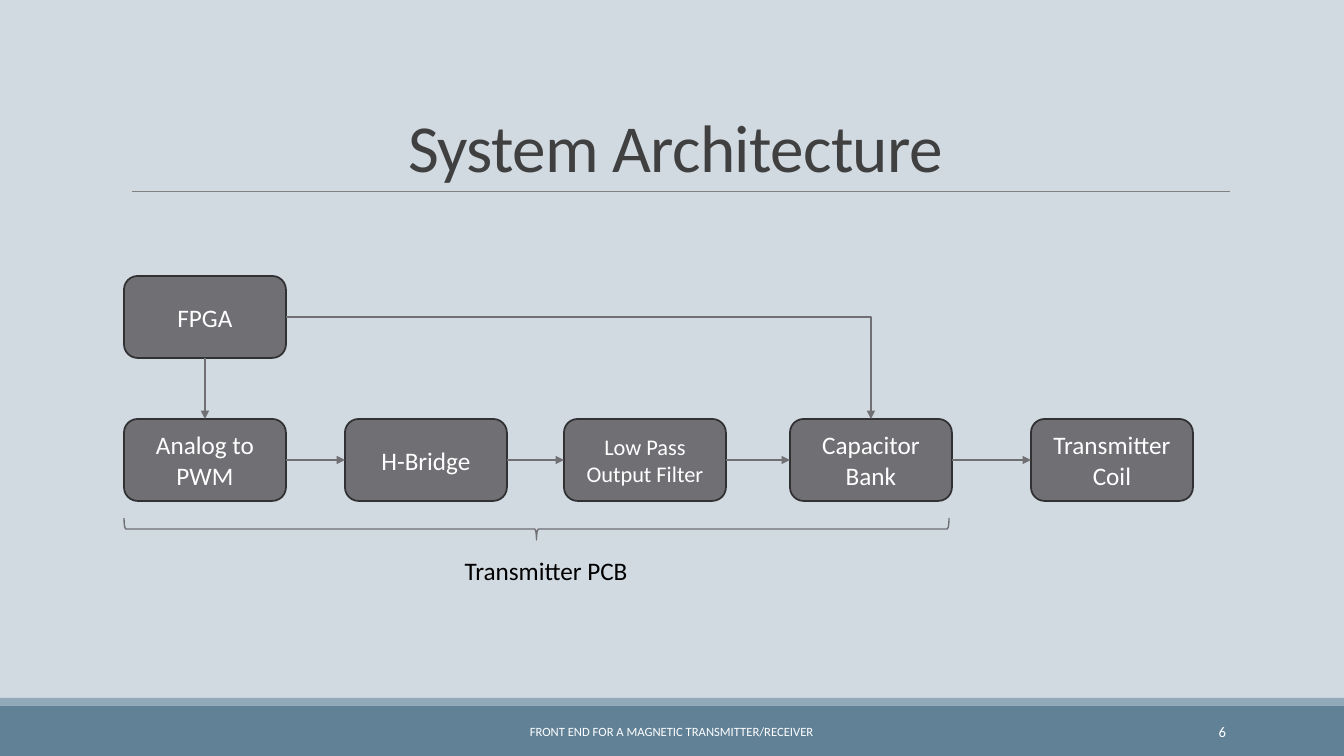
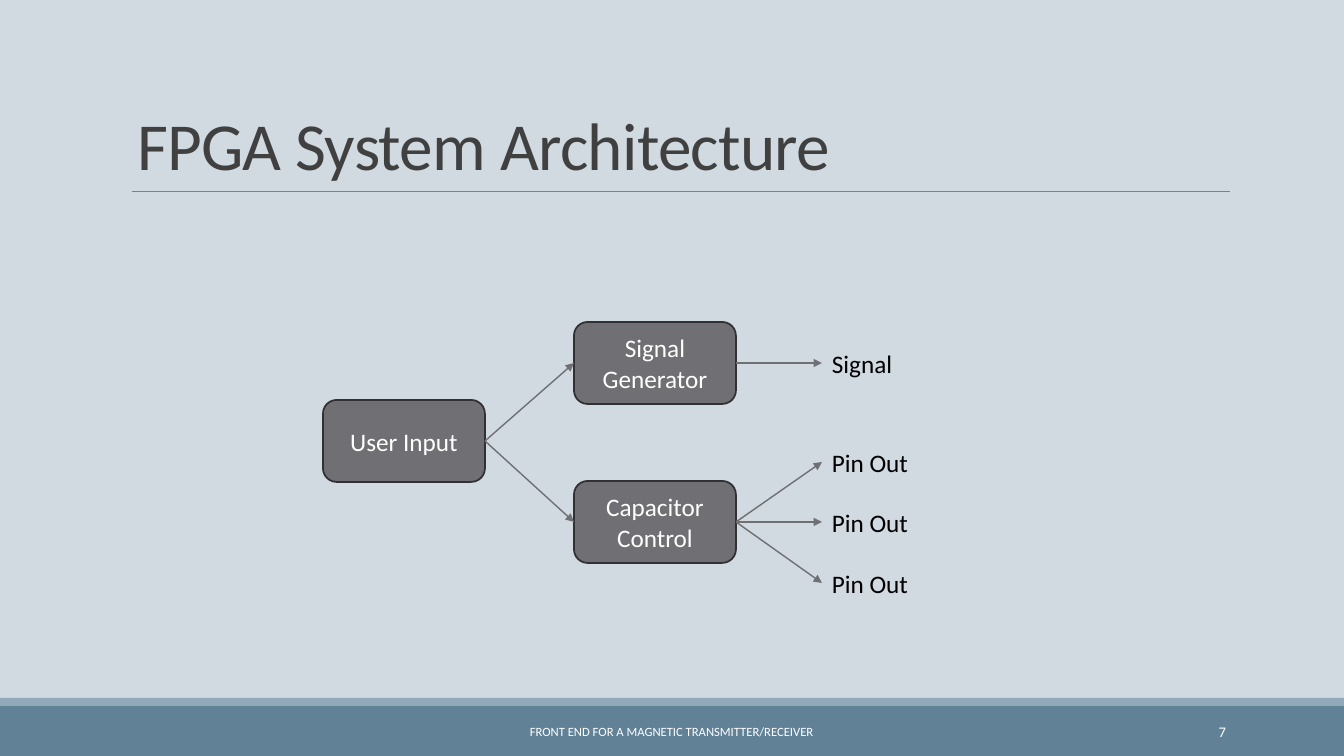
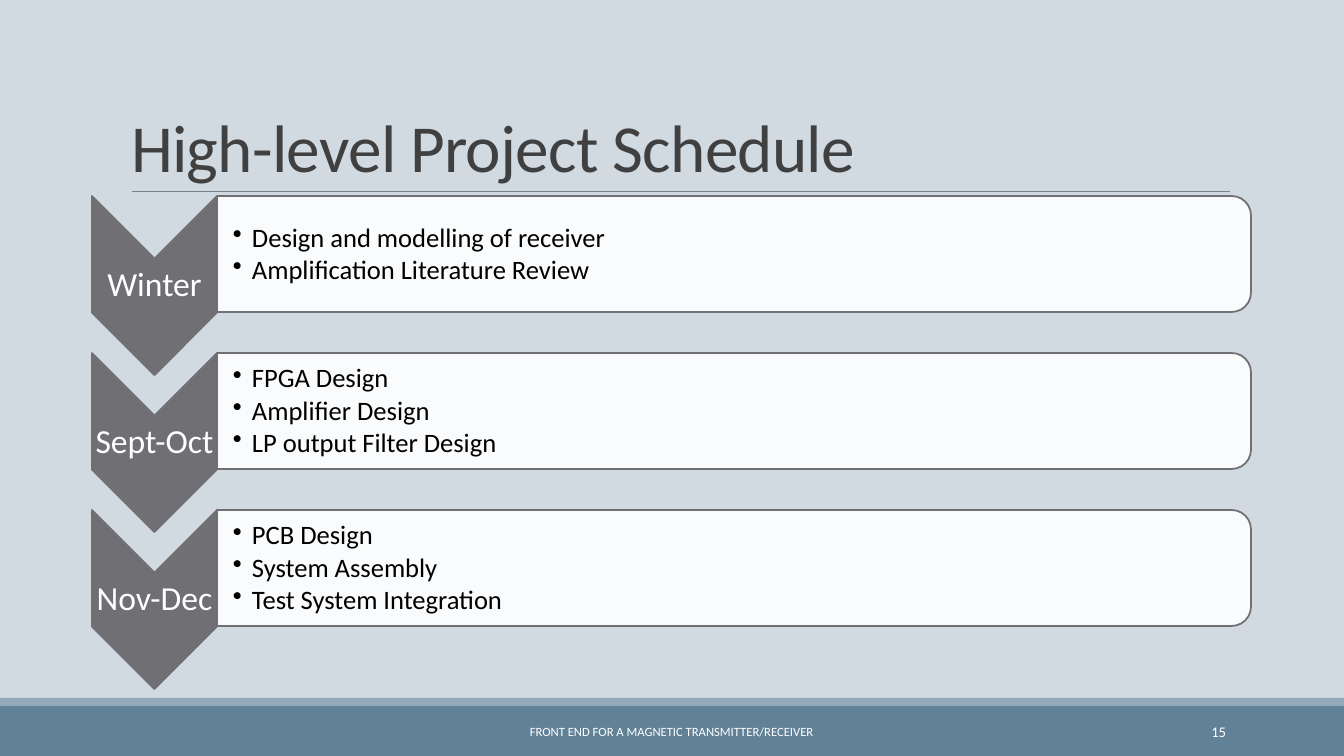
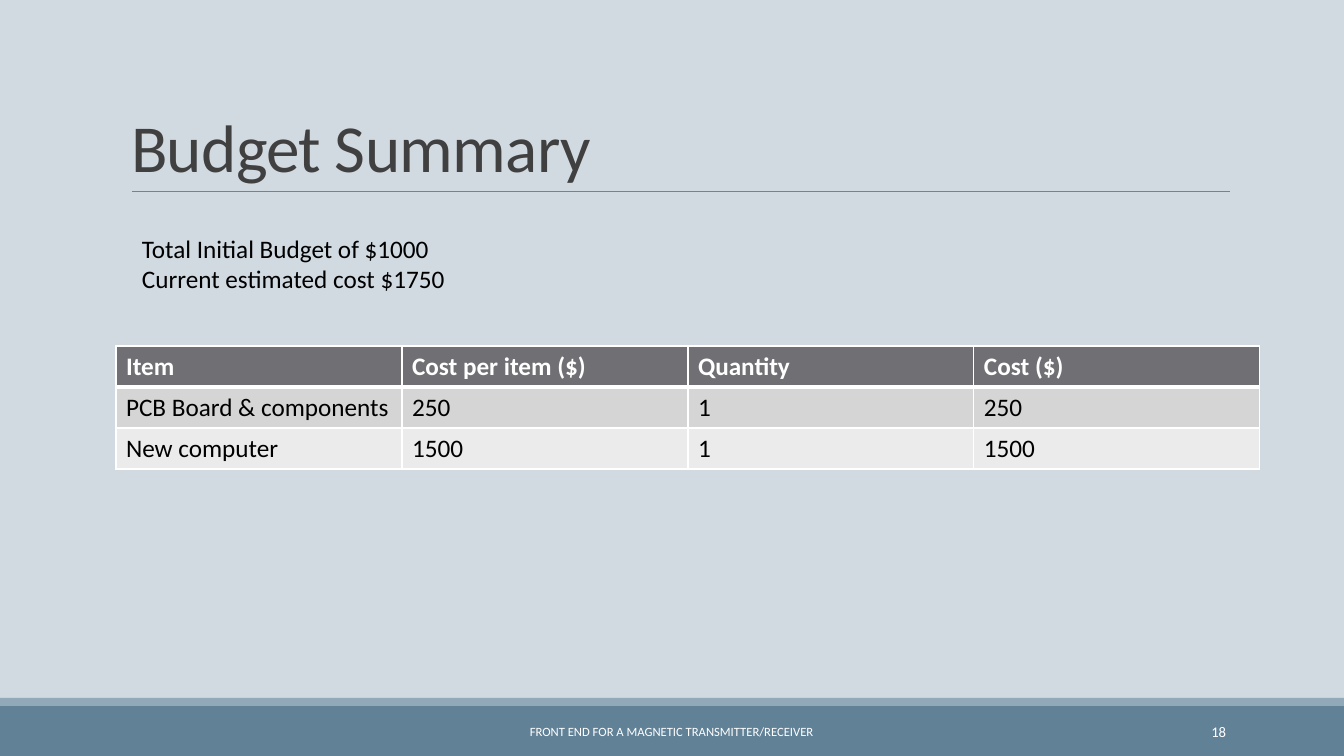
from lxml.etree import SubElement
from pptx import Presentation
from pptx.dml.color import RGBColor
from pptx.enum.shapes import MSO_CONNECTOR, MSO_SHAPE
from pptx.enum.text import MSO_ANCHOR, MSO_AUTO_SIZE, PP_ALIGN
from pptx.oxml.ns import qn
from pptx.util import Pt

SCALE = 914400 / 100.8
COLORS = {
    "background": "D1D9E1", "footer": "618197", "strip": "92A9B9",
    "rule": "808080", "title": "404040", "gray": "6F6F74",
    "outline": "313133", "white": "FFFFFF", "black": "000000",
    "odd_row": "D5D5D6", "even_row": "EBEBEB",
}
FONT = "Calibri"
TOP, LEFT, BOTTOM, RIGHT = range(4)
BLOCK_SIZE = (162, 82)
LABEL_HEIGHT = 40

FOOTER = "FRONT END FOR A MAGNETIC TRANSMITTER/RECEIVER"
BANDS = [((0, 706, 1344, 50), "footer"), ((0, 698, 1344, 8), "strip")]

SYSTEM_BLOCKS = {
    "FPGA": (124, 276, 18),
    "Analog to PWM": (124, 419, 18),
    "H-Bridge": (345, 419, 18),
    "Low Pass Output Filter": (564, 419, 16),
    "Capacitor Bank": (790, 419, 18),
    "Transmitter Coil": (1031, 419, 18),
}
SYSTEM_LINKS = [
    ("FPGA", BOTTOM, "Analog to PWM", TOP),
    ("FPGA", RIGHT, "Capacitor Bank", TOP),
    ("Analog to PWM", RIGHT, "H-Bridge", LEFT),
    ("H-Bridge", RIGHT, "Low Pass Output Filter", LEFT),
    ("Low Pass Output Filter", RIGHT, "Capacitor Bank", LEFT),
    ("Capacitor Bank", RIGHT, "Transmitter Coil", LEFT),
]

FPGA_BLOCKS = {
    "User Input": (323, 400, 18),
    "Signal Generator": (574, 322, 18),
    "Capacitor Control": (574, 481, 18),
}
FPGA_LINKS = [
    ("User Input", RIGHT, "Signal Generator", LEFT),
    ("User Input", RIGHT, "Capacitor Control", LEFT),
]
FPGA_OUTPUTS = [
    ("Signal Generator", "Signal", 343),
    ("Capacitor Control", "Pin Out", 442),
    ("Capacitor Control", "Pin Out", 502),
    ("Capacitor Control", "Pin Out", 563),
]

SCHEDULE = [
    ("Winter", ["Design and modelling of receiver", "Amplification Literature Review"]),
    ("Sept-Oct", ["FPGA Design", "Amplifier Design", "LP output Filter Design"]),
    ("Nov-Dec", ["PCB Design", "System Assembly", "Test System Integration"]),
]
SCHEDULE_TOP, SCHEDULE_STEP = 196, 157

BUDGET_NOTES = ["Total Initial Budget of $1000", "Current estimated cost $1750"]
BUDGET = [
    ("Item", "Cost per item ($)", "Quantity", "Cost ($)"),
    ("PCB Board & components", "250", "1", "250"),
    ("New computer", "1500", "1", "1500"),
]


def px(value):
    return round(value * SCALE)


def rgb(name):
    return RGBColor.from_string(COLORS[name])


def set_all(target, values):
    for name, value in values.items():
        setattr(target, name, value)


def write(frame, lines, size, color="black", bold=False, **paragraph_format):
    for index, line in enumerate(lines):
        paragraph = frame.paragraphs[0] if index == 0 else frame.add_paragraph()
        set_all(paragraph, paragraph_format)
        run = paragraph.add_run()
        run.text = line
        set_all(run.font, {"name": FONT, "size": Pt(size), "bold": bold})
        run.font.color.rgb = rgb(color)


def add_text(slide, box, lines, size, color="black", anchor=MSO_ANCHOR.TOP,
             wrap=True, insets=None, **paragraph_format):
    shape = slide.shapes.add_textbox(*map(px, box))
    set_all(shape.text_frame, {"word_wrap": wrap, "vertical_anchor": anchor})
    if insets:
        sides = ("margin_left", "margin_top", "margin_right", "margin_bottom")
        set_all(shape.text_frame, dict(zip(sides, map(px, insets))))
    write(shape.text_frame, lines, size, color, **paragraph_format)
    return shape


def add_shape(slide, kind, box, fill=None, line=None, width=1.25):
    shape = slide.shapes.add_shape(kind, *map(px, box))
    shape.shadow.inherit = False
    if fill:
        shape.fill.solid()
        shape.fill.fore_color.rgb = rgb(fill)
    else:
        shape.fill.background()
    if line:
        shape.line.color.rgb = rgb(line)
        shape.line.width = Pt(width)
    else:
        shape.line.fill.background()
    return shape


def add_turned(slide, kind, box, rotation, **look):
    left, top, width, height = box
    shift = (width - height) / 2
    shape = add_shape(slide, kind, (left + shift, top - shift, height, width), **look)
    shape.rotation = rotation
    return shape


def add_line(slide, ends, color, width, kind=MSO_CONNECTOR.STRAIGHT):
    line = slide.shapes.add_connector(kind, *map(px, ends))
    line.line.color.rgb = rgb(color)
    line.line.width = Pt(width)
    SubElement(line.element.spPr, qn("a:effectLst"))
    return line


def add_arrow(slide, source, source_side, target, target_side):
    bent = source_side == RIGHT and target_side == TOP
    kind = MSO_CONNECTOR.ELBOW if bent else MSO_CONNECTOR.STRAIGHT
    arrow = add_line(slide, (0, 0, 0, 0), "gray", 1, kind)
    arrow.begin_connect(source, source_side)
    arrow.end_connect(target, target_side)
    if bent:
        arrow.element.spPr.find(qn("a:prstGeom")).set("prst", "bentConnector2")
    SubElement(arrow.element.spPr.find(qn("a:ln")), qn("a:tailEnd"), type="triangle")


def add_blocks(slide, blocks, links):
    shapes = {}
    for name, (left, top, size) in blocks.items():
        block = add_shape(slide, MSO_SHAPE.ROUNDED_RECTANGLE,
                          (left, top, *BLOCK_SIZE), "gray", "outline")
        block.text_frame.vertical_anchor = MSO_ANCHOR.MIDDLE
        write(block.text_frame, [name], size, "white", alignment=PP_ALIGN.CENTER)
        shapes[name] = block
    for source, source_side, target, target_side in links:
        add_arrow(slide, shapes[source], source_side, shapes[target], target_side)
    return shapes


def add_bullets(shape):
    for paragraph in shape.text_frame.paragraphs:
        properties = paragraph._p.get_or_add_pPr()
        properties.set("marL", str(px(19)))
        properties.set("indent", str(-px(19)))
        SubElement(properties, qn("a:buChar"), char="•")


def set_borders(cell, widths):
    properties = cell._tc.get_or_add_tcPr()
    for side, width in widths.items():
        border = SubElement(properties, qn(f"a:ln{side}"), w=str(Pt(width)))
        fill = SubElement(border, qn("a:solidFill"))
        SubElement(fill, qn("a:srgbClr"), val=COLORS["white"])


def prepare_layout(presentation):
    fill = presentation.slide_master.background.fill
    fill.solid()
    fill.fore_color.rgb = rgb("background")
    layout = presentation.slide_layouts[5]
    for placeholder in list(layout.placeholders):
        if placeholder.placeholder_format.idx:
            placeholder.element.getparent().remove(placeholder.element)
    return layout


def share_decoration(slide, layout):
    shapes = [add_shape(slide, MSO_SHAPE.RECTANGLE, box, color) for box, color in BANDS]
    shapes.append(add_line(slide, (132, 191, 1230, 191), "rule", 0.5))
    shapes.append(add_text(slide, (406, 712, 531, 40), [FOOTER], 9, "white",
                           MSO_ANCHOR.MIDDLE, alignment=PP_ALIGN.CENTER))
    for shape in shapes:
        layout.shapes.element.append(shape.element)


def add_slide(presentation, layout, title, number, left=121, top=31,
              alignment=PP_ALIGN.LEFT):
    slide = presentation.slides.add_slide(layout)
    heading = slide.shapes.title
    set_all(heading, {"left": px(left), "top": px(top),
                      "width": px(1109), "height": px(160)})
    frame = heading.text_frame
    set_all(frame, {"vertical_anchor": MSO_ANCHOR.BOTTOM, "word_wrap": True,
                    "auto_size": MSO_AUTO_SIZE.NONE})
    write(frame, [title], 48, "title", alignment=alignment, line_spacing=0.85)
    frame.paragraphs[0].runs[0].font._element.set("spc", "-50")
    add_text(slide, (1092, 712, 144, 40), [str(number)], 10.5, "white",
             MSO_ANCHOR.MIDDLE, alignment=PP_ALIGN.RIGHT)
    return slide


def fill_system(slide):
    add_blocks(slide, SYSTEM_BLOCKS, SYSTEM_LINKS)
    add_turned(slide, MSO_SHAPE.LEFT_BRACE, (124, 518, 825, 22), 270,
               line="gray", width=1)
    add_text(slide, (428, 550, 236, LABEL_HEIGHT), ["Transmitter PCB"], 18,
             alignment=PP_ALIGN.CENTER)


def fill_fpga(slide):
    blocks = add_blocks(slide, FPGA_BLOCKS, FPGA_LINKS)
    for source, name, top in FPGA_OUTPUTS:
        label = add_text(slide, (822, top, 97, LABEL_HEIGHT), [name], 18, wrap=False)
        add_arrow(slide, blocks[source], RIGHT, label, LEFT)


def fill_schedule(slide):
    for index, (period, tasks) in enumerate(SCHEDULE):
        top = SCHEDULE_TOP + index * SCHEDULE_STEP
        add_turned(slide, MSO_SHAPE.CHEVRON, (92, top, 125, 179), 90,
                   fill="gray", line="gray")
        add_text(slide, (92, top + 63, 125, 53), [period], 24, "white",
                 MSO_ANCHOR.MIDDLE, insets=(2, 2, 2, 2),
                 alignment=PP_ALIGN.CENTER, line_spacing=0.9)
        bar = add_turned(slide, MSO_SHAPE.ROUND_2_SAME_RECTANGLE,
                         (217, top, 1034, 116), 90, fill="white", line="gray")
        color = bar.element.spPr.find(qn("a:solidFill")).find(qn("a:srgbClr"))
        SubElement(color, qn("a:alpha"), val="90000")
        task_list = add_text(slide, (218, top + 6, 1029, 105), tasks, 19,
                             anchor=MSO_ANCHOR.MIDDLE, insets=(15, 1, 1, 1),
                             line_spacing=0.9, space_after=Pt(2.4))
        add_bullets(task_list)


def fill_budget(slide):
    add_text(slide, (132, 228, 425, 72), BUDGET_NOTES, 18)
    box = (116, 346, 1144, 123)
    table = slide.shapes.add_table(len(BUDGET), len(BUDGET[0]), *map(px, box)).table
    fills = ("gray", "odd_row", "even_row")
    for row, values in enumerate(BUDGET):
        header = row == 0
        borders = {"L": 1, "R": 1, "T": 3 if row == 1 else 1, "B": 3 if header else 1}
        for column, value in enumerate(values):
            cell = table.cell(row, column)
            set_borders(cell, borders)
            cell.fill.solid()
            cell.fill.fore_color.rgb = rgb(fills[row])
            write(cell.text_frame, [value], 18, "white" if header else "black", header)


def main():
    presentation = Presentation()
    set_all(presentation, {"slide_width": px(1344), "slide_height": px(756)})
    layout = prepare_layout(presentation)
    pages = [
        ("System Architecture", 6, fill_system, {"alignment": PP_ALIGN.CENTER}),
        ("FPGA System Architecture", 7, fill_fpga, {"left": 127, "top": 29}),
        ("High-level Project Schedule", 15, fill_schedule, {}),
        ("Budget Summary", 18, fill_budget, {}),
    ]
    for title, number, fill_page, title_format in pages:
        slide = add_slide(presentation, layout, title, number, **title_format)
        fill_page(slide)
    share_decoration(presentation.slides[0], layout)
    presentation.save("out.pptx")


if __name__ == "__main__":
    main()
